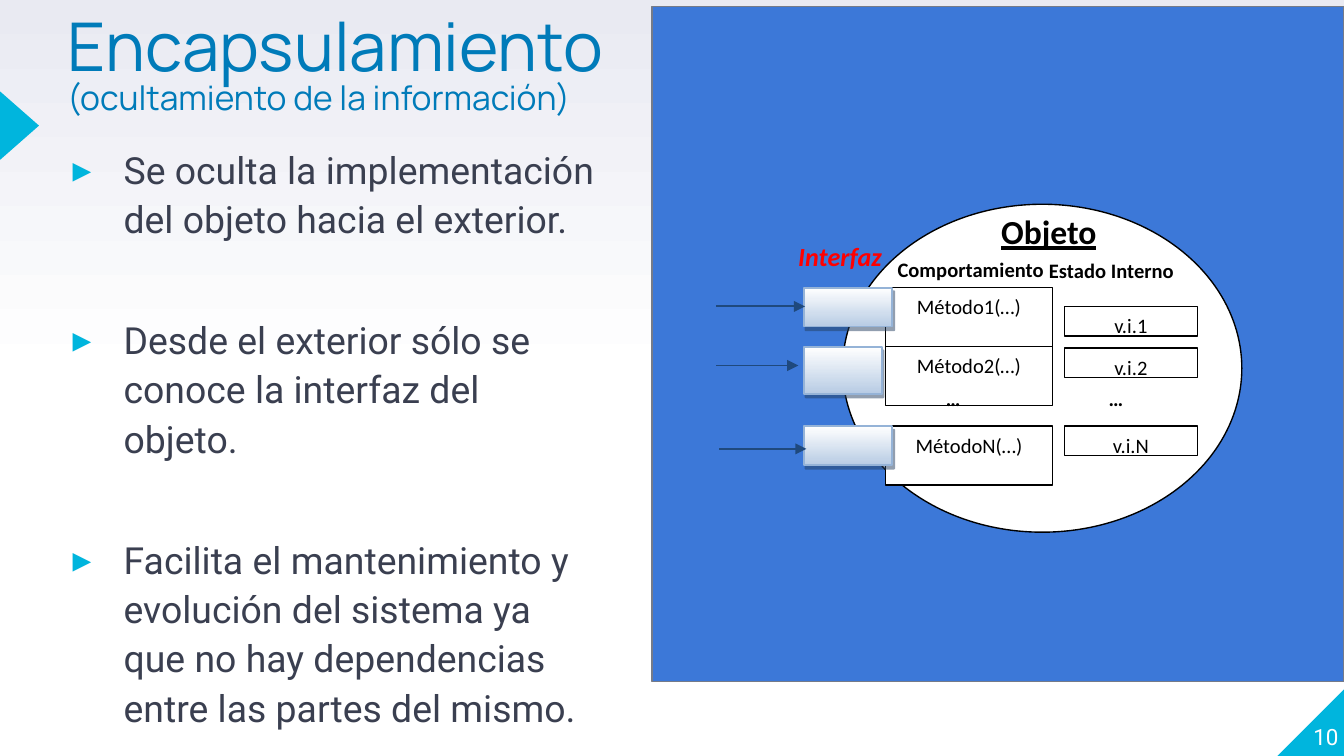
from typing import NamedTuple

from lxml import etree
from pptx import Presentation
from pptx.dml.color import RGBColor
from pptx.enum.shapes import MSO_CONNECTOR as Connector, MSO_SHAPE as Preset
from pptx.enum.text import MSO_ANCHOR as Anchor, PP_ALIGN as Align
from pptx.oxml.ns import qn
from pptx.util import Inches, Pt

WHITE = RGBColor(0xFF, 0xFF, 0xFF)
BLACK = RGBColor(0x00, 0x00, 0x00)
RED = RGBColor(0xFF, 0x00, 0x00)
CYAN = RGBColor(0x00, 0xB5, 0xDD)
TITLE_BLUE = RGBColor(0x00, 0x7B, 0xB9)
PANEL_BLUE = RGBColor(0x3C, 0x78, 0xD8)
PANEL_EDGE = RGBColor(0x75, 0x7B, 0x89)
BODY_GREY = RGBColor(0x3A, 0x3F, 0x50)
PALE_GREY = RGBColor(0xE9, 0xEA, 0xF2)
PALE_BLUE = RGBColor(0xB8, 0xCC, 0xE4)
PORT_EDGE = RGBColor(0x95, 0xB3, 0xD7)
PORT_SHADOW = RGBColor(0x24, 0x3F, 0x60)
ARROW_BLUE = RGBColor(0x1F, 0x49, 0x7D)


class Box(NamedTuple):
    left: float
    top: float
    width: float
    height: float


class Member(NamedTuple):
    """One row of the object: a method, its interface port and a variable."""
    method: str
    method_top: float
    variable: str
    variable_top: float
    port: Box
    arrow_start: float
    arrow_end: float
    arrow_y: float


class Label(NamedTuple):
    text: str
    box: Box
    style: dict


MEMBERS = [
    Member("Método1(…)", 2.14, "v.i.1", 2.28, Box(5.98, 2.14, 0.66, 0.29), 5.33, 5.99, 2.28),
    Member("Método2(…)", 2.58, "v.i.2", 2.59, Box(5.98, 2.58, 0.58, 0.35), 5.33, 5.94, 2.72),
    Member("MétodoN(…)", 3.17, "v.i.N", 3.17, Box(5.98, 3.17, 0.66, 0.29), 5.35, 6, 3.34),
]
LABELS = [
    Label("Comportamiento", Box(6.58, 1.86, 1.49, 0.44), {}),
    Label("Estado Interno", Box(7.65, 1.87, 1.24, 0.22), {"align": Align.CENTER}),
    Label("…", Box(6.94, 2.82, 1.24, 0.44), {}),
    Label("…", Box(8.15, 2.82, 1.24, 0.44), {}),
    Label("Objeto", Box(7.35, 1.52, 0.99, 0.44), {"size": 18, "underline": True}),
    Label("Interfaz", Box(5.84, 1.74, 0.88, 0.29), {"size": 14, "color": RED, "italic": True}),
]
BULLETS = [
    "Se oculta la implementación del objeto hacia el exterior.",
    "Desde el exterior sólo se conoce la interfaz del objeto.",
    "Facilita el mantenimiento y evolución del sistema ya que no hay dependencias "
    "entre las partes del mismo.",
]


def place(box: Box) -> list:
    return [Inches(value) for value in box]


def add_text(frame, text: str, *, size=11, font="Calibri", color=BLACK, bold=False,
             italic=False, underline=False, align=Align.LEFT, spacing=None, before=0):
    """Write a paragraph, filling the first one if it is still empty."""
    first = frame.paragraphs[0]
    paragraph = frame.add_paragraph() if first.runs else first
    paragraph.alignment = align
    paragraph.space_before = Pt(before)
    if spacing:
        paragraph.line_spacing = spacing
    run = paragraph.add_run()
    run.text = text
    run.font.size, run.font.name = Pt(size), font
    run.font.bold, run.font.italic, run.font.underline = bold, italic, underline
    run.font.color.rgb = color
    return paragraph


def add_frame(slide, box: Box, *, margins=True, anchor=Anchor.TOP):
    frame = slide.shapes.add_textbox(*place(box)).text_frame
    frame.word_wrap = True
    frame.vertical_anchor = anchor
    if not margins:
        frame.margin_left = frame.margin_right = frame.margin_top = frame.margin_bottom = 0
    return frame


def add_bullet(paragraph) -> None:
    properties = paragraph._p.get_or_add_pPr()
    properties.set("marL", str(Inches(0.5)))
    properties.set("indent", str(Inches(-0.38)))
    color = etree.SubElement(properties, qn("a:buClr"))
    etree.SubElement(color, qn("a:srgbClr"), val=str(CYAN))
    etree.SubElement(properties, qn("a:buFont"), typeface="Roboto")
    etree.SubElement(properties, qn("a:buChar"), char="▸")


def set_gradient(fill, start: RGBColor, end: RGBColor, angle: float, first=0.0) -> None:
    fill.gradient()
    fill.gradient_angle = angle
    for stop, color, position in zip(fill.gradient_stops, (start, end), (first, 1.0)):
        stop.color.rgb = color
        stop.position = position


def add_shape(slide, preset, box: Box, *, fill=None, line=None, weight=0.75):
    shape = slide.shapes.add_shape(preset, *place(box))
    shape.shadow.inherit = False
    if fill is not None:
        shape.fill.solid()
        shape.fill.fore_color.rgb = fill
    if line is None:
        shape.line.fill.background()
    else:
        shape.line.color.rgb = line
        shape.line.width = Pt(weight)
    return shape


def add_cell(slide, text: str, box: Box) -> None:
    shape = add_shape(slide, Preset.RECTANGLE, box, fill=WHITE, line=BLACK)
    shape.text_frame.vertical_anchor = Anchor.TOP
    add_text(shape.text_frame, text, align=Align.CENTER)


def add_port(slide, box: Box) -> None:
    shape = add_shape(slide, Preset.RECTANGLE, box, line=PORT_EDGE, weight=1)
    set_gradient(shape.fill, WHITE, PALE_BLUE, 270)
    effects = shape._element.spPr.find(qn("a:effectLst"))
    shadow = etree.SubElement(effects, qn("a:outerShdw"), blurRad="0", dist=str(Pt(2.2)),
                              dir=str(63 * 60000), algn="ctr", rotWithShape="0")
    color = etree.SubElement(shadow, qn("a:srgbClr"), val=str(PORT_SHADOW))
    etree.SubElement(color, qn("a:alpha"), val="49000")


def add_arrow(slide, start: float, end: float, y: float) -> None:
    arrow = slide.shapes.add_connector(
        Connector.STRAIGHT, Inches(start), Inches(y), Inches(end), Inches(y))
    arrow.line.color.rgb = ARROW_BLUE
    arrow.line.width = Pt(1)
    etree.SubElement(arrow.line._get_or_add_ln(), qn("a:tailEnd"), type="triangle")
    etree.SubElement(arrow._element.spPr, qn("a:effectLst"))


def main() -> None:
    # Widescreen 16:9 slide
    presentation = Presentation()
    presentation.slide_width = Inches(10)
    presentation.slide_height = Inches(10 * 9 / 16)
    slide = presentation.slides.add_slide(presentation.slide_layouts[6])

    # Background, corner, side marker and panel
    set_gradient(slide.background.fill, WHITE, PALE_GREY, 90, first=0.5)
    corner = add_shape(slide, Preset.RIGHT_TRIANGLE, Box(9.5, 5.12, 0.51, 0.51), fill=CYAN)
    corner.rotation = 270
    marker = add_shape(slide, Preset.ISOSCELES_TRIANGLE, Box(-0.11, 0.79, 0.51, 0.29), fill=CYAN)
    marker.rotation = 90
    add_shape(slide, Preset.RECTANGLE, Box(4.85, 0.05, 5.15, 5.02),
              fill=PANEL_BLUE, line=PANEL_EDGE)

    # Title, bullets and page number
    title = add_frame(slide, Box(0.5, 0.15, 4.42, 1.18), margins=False)
    for text, size in (("Encapsulamiento", 36), ("(ocultamiento de la información)", 18)):
        add_text(title, text, size=size, font="Manrope", color=TITLE_BLUE, spacing=0.8)
    body = add_frame(slide, Box(0.42, 1.06, 4.01, 4.19), margins=False)
    for index, text in enumerate(BULLETS):
        add_bullet(add_text(body, text, size=20, font="Roboto", color=BODY_GREY,
                            spacing=1.1, before=38.5 if index else 6))
    number = add_frame(slide, Box(9.46, 5.07, 0.5, 0.51), margins=False, anchor=Anchor.BOTTOM)
    add_text(number, "10", size=12, font="Roboto", color=WHITE, align=Align.RIGHT)

    # Object with its methods and internal state
    add_shape(slide, Preset.OVAL, Box(6.27, 1.52, 2.97, 2.44), fill=WHITE, line=BLACK)
    for member in MEMBERS:
        add_cell(slide, member.method, Box(6.59, member.method_top, 1.24, 0.44))
        add_cell(slide, member.variable, Box(7.92, member.variable_top, 0.99, 0.22))
    for label in LABELS:
        add_text(add_frame(slide, label.box), label.text, bold=True, **label.style)

    # Interface ports and incoming calls
    for member in MEMBERS:
        add_port(slide, member.port)
        add_arrow(slide, member.arrow_start, member.arrow_end, member.arrow_y)

    presentation.save("out.pptx")


if __name__ == "__main__":
    main()
